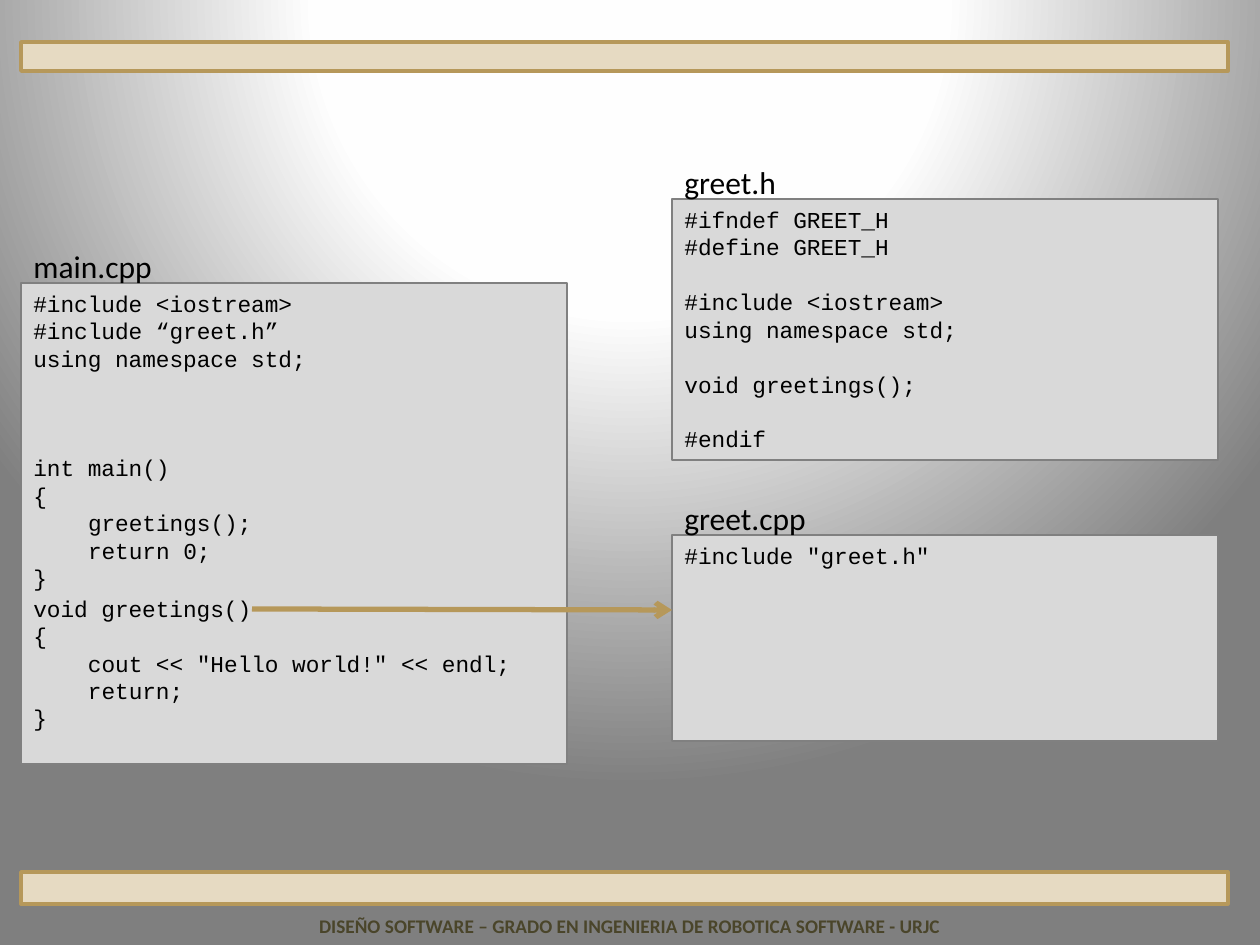
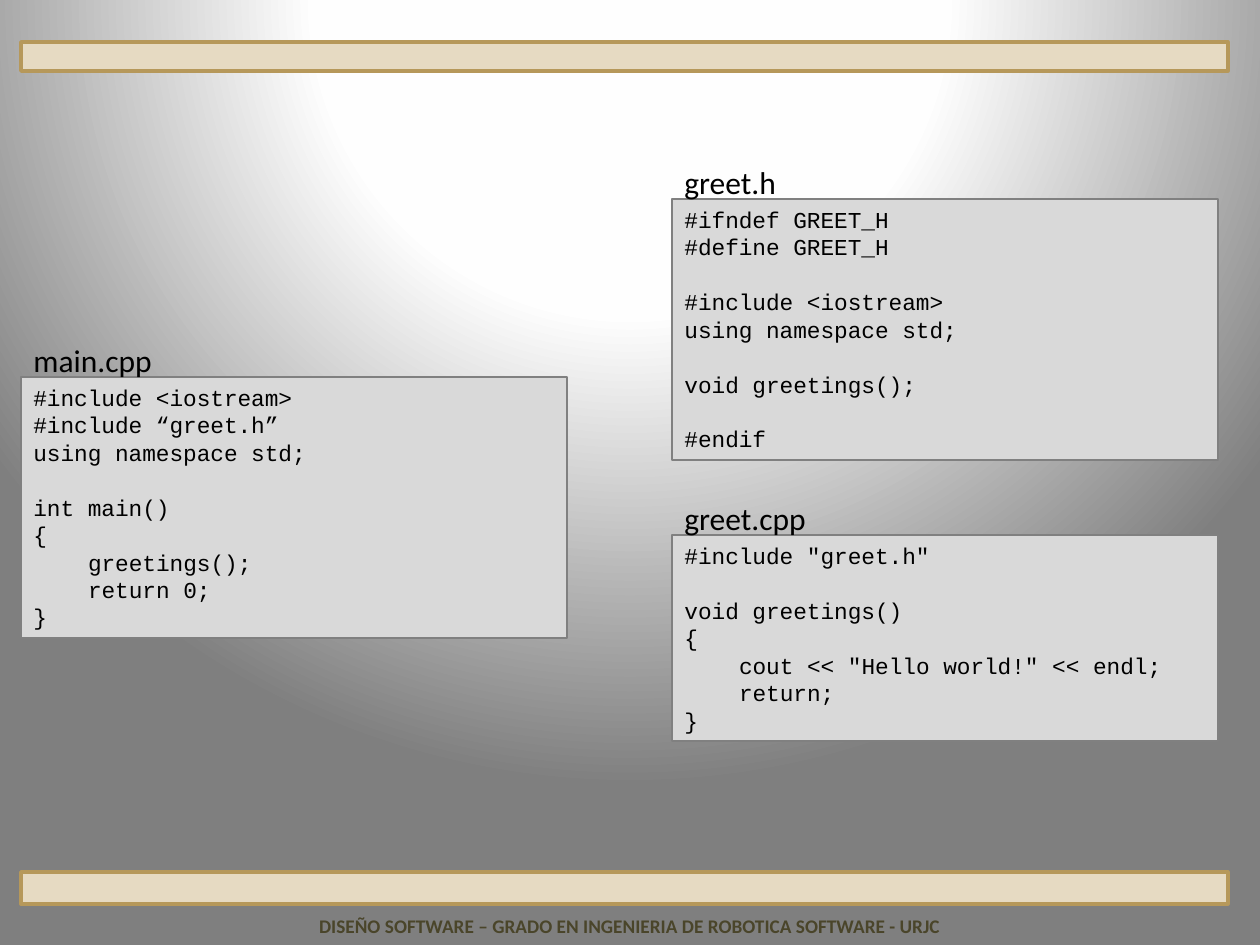
from lxml import etree
from pptx import Presentation
from pptx.dml.color import RGBColor
from pptx.enum.shapes import MSO_CONNECTOR, MSO_SHAPE
from pptx.enum.text import MSO_ANCHOR, PP_ALIGN
from pptx.oxml import parse_xml
from pptx.oxml.ns import nsdecls, qn
from pptx.util import Pt

RECT, STRAIGHT = MSO_SHAPE.RECTANGLE, MSO_CONNECTOR.STRAIGHT
TOP, LEFT, CENTER = MSO_ANCHOR.TOP, PP_ALIGN.LEFT, PP_ALIGN.CENTER

BLACK = RGBColor(0x00, 0x00, 0x00)
SAND = RGBColor(0xE6, 0xDA, 0xC2)
GOLD = RGBColor(0xB6, 0x98, 0x5A)
OLIVE = RGBColor(0x4A, 0x45, 0x2A)
PANEL = RGBColor(0xD9, 0xD9, 0xD9)
GREY = RGBColor(0x80, 0x80, 0x80)
GLOW = [(0, "FFFFFF"), (40, "FEFEFE"), (100, "7F7F7F")]  # percent, colour

FOOTER = "DISEÑO SOFTWARE – GRADO EN INGENIERIA DE ROBOTICA SOFTWARE - URJC"

INCLUDES = """#include <iostream>
#include “greet.h”
using namespace std;"""

MAIN = """int main()
{
    greetings();
    return 0;
}"""

GREETINGS = """void greetings()
{
    cout << "Hello world!" << endl;
    return;
}"""

HEADER = """#ifndef GREET_H
#define GREET_H

#include <iostream>
using namespace std;

void greetings();

#endif"""

GREET_INCLUDE = '#include "greet.h"'

# Lengths in px
W, H = 1260, 945
LEFT_X, RIGHT_X, PANEL_W = 21, 672, 546
LABEL_RISE, LABEL_H = 42, 50
LABEL_W = {"main.cpp": 145, "greet.h": 118, "greet.cpp": 149}
BANDS = [(42, 29), (872, 32)]  # top, height
CODE_SIZE, CODE_PITCH = 13, 15.7  # points
CHAR_W = 0.6 * CODE_SIZE

HEADER_PANEL = ("greet.h", RIGHT_X, 199, 261, HEADER)

# Each panel: file name, left, top, height, code
SLIDES = [
    {
        "panels": [
            ("main.cpp", LEFT_X, 283, 481, INCLUDES + "\n\n\n\n" + MAIN),
            HEADER_PANEL,
            ("greet.cpp", RIGHT_X, 535, 206, GREET_INCLUDE),
        ],
        "arrow": (252, 609, RIGHT_X, 610),
        "moving": (LEFT_X, 588, 630, 150, GREETINGS),
    },
    {
        "panels": [
            ("main.cpp", LEFT_X, 377, 261, INCLUDES + "\n\n" + MAIN),
            HEADER_PANEL,
            ("greet.cpp", RIGHT_X, 535, 206, GREET_INCLUDE + "\n\n" + GREETINGS),
        ],
    },
]


def px(*lengths):
    return [round(n * 914400 / 126) for n in lengths]


def set_font(p, name, size, color, bold=False):
    for r in p.runs:
        r.font.name, r.font.size, r.font.bold = name, Pt(size), bold
        r.font.color.rgb = color


def add_background(s):
    """Fill the slide with a circular glow centred above its top edge."""
    stops = "".join(
        f'<a:gs pos="{pos * 1000}"><a:srgbClr val="{color}"/></a:gs>'
        for pos, color in GLOW)
    fill = s.background.fill
    fill.gradient()
    grad = s._element.find(".//" + qn("a:gradFill"))
    grad.getparent().replace(grad, parse_xml(
        f'<a:gradFill {nsdecls("a")} rotWithShape="1"><a:gsLst>{stops}</a:gsLst>'
        '<a:path path="circle"><a:fillToRect l="50000" t="-80000" r="50000" b="180000"/>'
        '</a:path></a:gradFill>'))


def add_box(s, x, y, w, h, fill, line, line_width):
    sp = s.shapes.add_shape(RECT, *px(x, y, w, h))
    sp.shadow.inherit = False
    sp.fill.solid()
    sp.fill.fore_color.rgb = fill
    sp.line.color.rgb = line
    sp.line.width = Pt(line_width)
    return sp


def add_text(s, x, y, w, h, text, size, color, bold=False, align=LEFT, wrap=True):
    tf = s.shapes.add_textbox(*px(x, y, w, h)).text_frame
    tf.word_wrap = wrap
    tf.text = text
    p = tf.paragraphs[0]
    p.alignment = align
    set_font(p, "Calibri", size, color, bold)


def write_code(tf, code):
    """One paragraph per line; blank lines become spacing, leading spaces an indent."""
    tf.word_wrap = True
    tf.vertical_anchor = TOP
    blanks = 0
    for i, line in enumerate(code.split("\n")):
        if not line:
            blanks += 1
            continue
        p = tf.add_paragraph() if i else tf.paragraphs[0]
        p.text = line.lstrip()
        p.alignment = LEFT
        p.line_spacing = Pt(CODE_PITCH)
        p.space_before = Pt(blanks * CODE_PITCH)
        indent = len(line) - len(p.text)
        if indent:
            p._p.get_or_add_pPr().set("marL", str(Pt(indent * CHAR_W)))
        set_font(p, "Courier New", CODE_SIZE, BLACK)
        blanks = 0


def add_panel(s, name, x, y, h, code):
    write_code(add_box(s, x, y, PANEL_W, h, PANEL, GREY, 0.75).text_frame, code)
    add_text(s, x, y - LABEL_RISE, LABEL_W[name], LABEL_H, name, 18, BLACK, wrap=False)


def add_arrow(s, *ends):
    c = s.shapes.add_connector(STRAIGHT, *px(*ends))
    c.line.color.rgb = GOLD
    c.line.width = Pt(3)
    etree.SubElement(c.line._get_or_add_ln(), qn("a:tailEnd"), type="arrow")
    etree.SubElement(c._element.spPr, qn("a:effectLst"))


def add_frame(s):
    add_background(s)
    for y, h in BANDS:
        add_box(s, 21, y, 1207, h, SAND, GOLD, 2)
    add_text(s, 0, 908, W, 37, FOOTER, 11, OLIVE, bold=True, align=CENTER)


def main():
    prs = Presentation()
    prs.slide_width, prs.slide_height = px(W, H)
    for content in SLIDES:
        s = prs.slides.add_slide(prs.slide_layouts[6])
        add_frame(s)
        for panel in content["panels"]:
            add_panel(s, *panel)
        if "arrow" in content:
            add_arrow(s, *content["arrow"])
        if "moving" in content:
            x, y, w, h, code = content["moving"]
            write_code(s.shapes.add_textbox(*px(x, y, w, h)).text_frame, code)
    prs.save("out.pptx")


if __name__ == "__main__":
    main()
